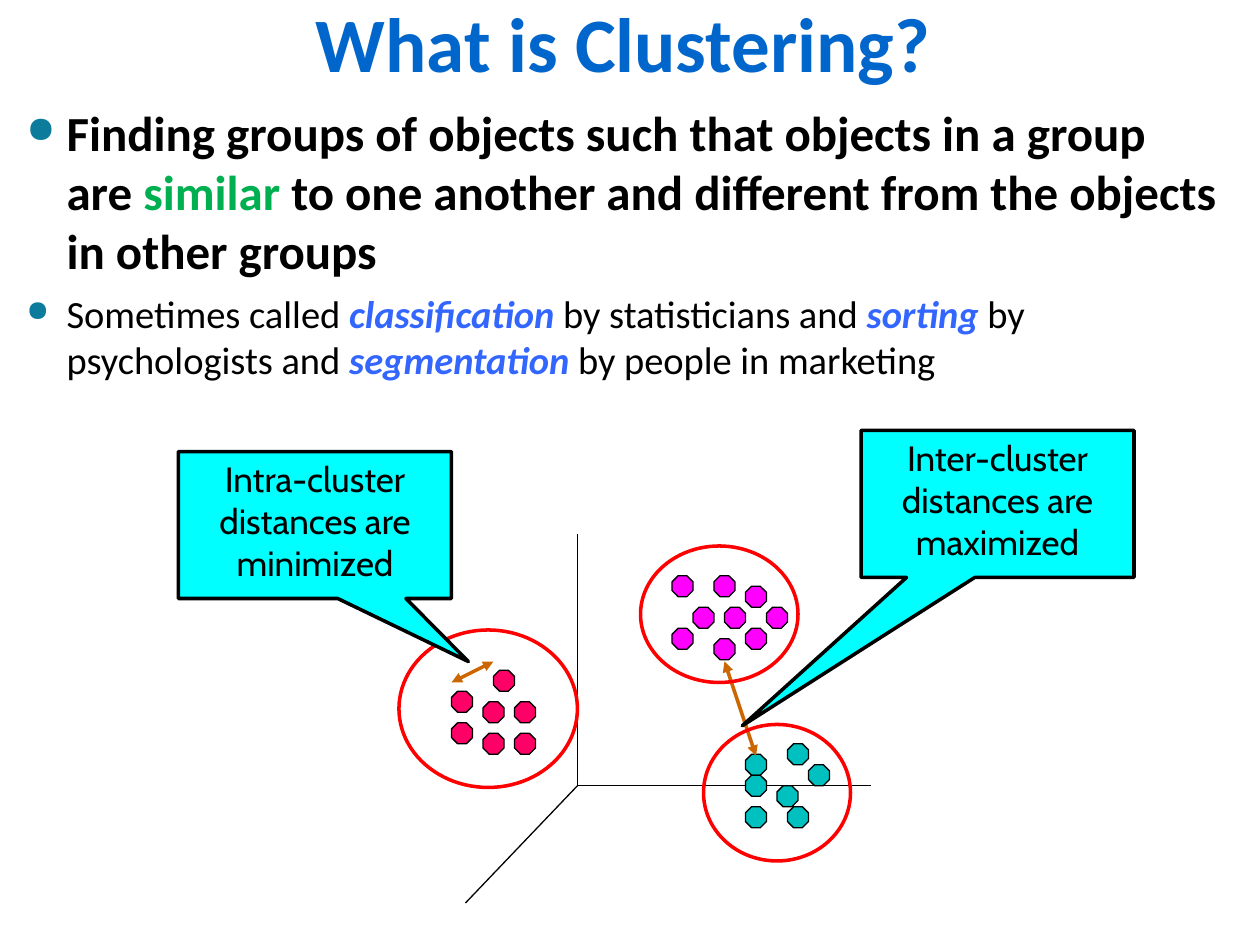
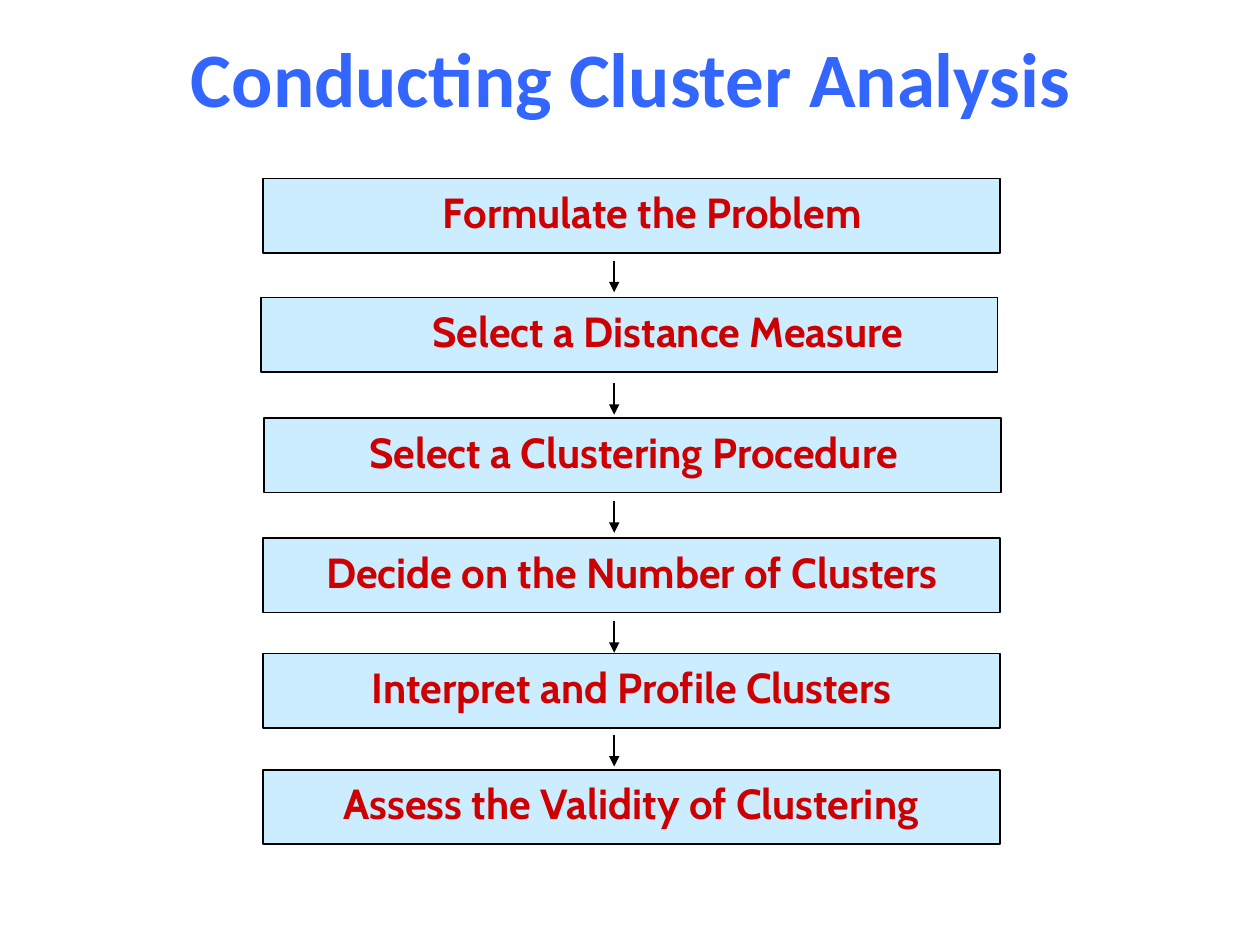
from lxml.etree import SubElement
from pptx import Presentation
from pptx.dml.color import RGBColor
from pptx.enum.shapes import MSO_CONNECTOR, MSO_SHAPE
from pptx.enum.text import MSO_ANCHOR, PP_ALIGN
from pptx.oxml.ns import qn
from pptx.util import Pt

BLACK = RGBColor(0x00, 0x00, 0x00)
TITLE_BLUE = RGBColor(0x00, 0x66, 0xCC)
ACCENT_BLUE = RGBColor(0x33, 0x66, 0xFF)
GREEN = RGBColor(0x00, 0xB0, 0x50)
BULLET_TEAL = RGBColor(0x0C, 0x7B, 0x9C)
MAGENTA = RGBColor(0xFF, 0x00, 0xFF)
PINK = RGBColor(0xFF, 0x00, 0x66)
TEAL = RGBColor(0x00, 0xC0, 0xC0)
CYAN = RGBColor(0x00, 0xFF, 0xFF)
RED = RGBColor(0xFF, 0x00, 0x00)
ORANGE = RGBColor(0xCC, 0x66, 0x00)
STEP_FILL = RGBColor(0xCC, 0xEC, 0xFF)
STEP_TEXT = RGBColor(0xCC, 0x00, 0x00)

HEADING_FONT = "Calibri"
DIAGRAM_FONT = "Cabin"
GRID = 6
POINT_SIZE = 12
STEP_WIDTH, STEP_HEIGHT = 421, 42.5
ARROW_X, ARROW_LENGTH = 351, 18

CLUSTERS = [
    (MAGENTA, 384, 329, [(2, 3), (5, 3), (4, 0), (4, 6), (9, 3),
                         (7, 1), (0, 0), (7, 5), (0, 5)]),
    (PINK, 258, 383, [(0, 2), (3, 3), (3, 6), (6, 3), (4, 0), (6, 6), (0, 5)]),
    (TEAL, 426, 425, [(0, 1), (6, 2), (3, 4), (0, 6), (4, 6), (0, 3), (4, 0)]),
]
CLUSTER_RINGS = [(228, 360, 102, 90), (366, 312, 90, 78), (402, 414, 84, 78)]

STEPS = [
    ("Formulate the Problem", 150.5, 102, 246, 256, PP_ALIGN.LEFT),
    ("Select a Distance Measure", 149, 170, 240, 292, PP_ALIGN.LEFT),
    ("Select a Clustering Procedure", 151, 239, 199.5, 325, PP_ALIGN.CENTER),
    ("Decide on the Number of Clusters", 150.5, 307.5, 175, 372, PP_ALIGN.CENTER),
    ("Interpret and Profile Clusters", 150.5, 373.5, 201, 320, PP_ALIGN.CENTER),
    ("Assess the Validity of Clustering", 150.5, 440, 185, 351, PP_ALIGN.CENTER),
]
ARROW_TOPS = [149, 219, 286.5, 355, 420]


def points(*lengths):
    return [Pt(length) for length in lengths]


def add_run(paragraph, text, font, size, color, bold=False, italic=False):
    run = paragraph.add_run()
    run.text = text
    run.font.name = font
    run.font.size = Pt(size)
    run.font.color.rgb = color
    run.font.bold = bold
    run.font.italic = italic


def add_text_frame(slide, box, wrap=True):
    frame = slide.shapes.add_textbox(*points(*box)).text_frame
    frame.word_wrap = wrap
    return frame


def add_title(slide, text, box, color):
    frame = add_text_frame(slide, box)
    frame.vertical_anchor = MSO_ANCHOR.BOTTOM
    paragraph = frame.paragraphs[0]
    paragraph.alignment = PP_ALIGN.CENTER
    paragraph.line_spacing = Pt(36)
    add_run(paragraph, text, HEADING_FONT, 44, color, bold=True)


def set_bullet(paragraph):
    properties = paragraph._p.get_or_add_pPr()
    properties.set("marL", str(Pt(23)))
    properties.set("indent", str(-Pt(23)))
    color = SubElement(properties, qn("a:buClr"))
    SubElement(color, qn("a:srgbClr"), val=str(BULLET_TEAL))
    SubElement(properties, qn("a:buSzPct"), val="75000")
    SubElement(properties, qn("a:buChar"), char="●")


def add_bullets(slide, box, bullets):
    frame = add_text_frame(slide, box)
    for index, (size, runs) in enumerate(bullets):
        paragraph = frame.add_paragraph() if index else frame.paragraphs[0]
        set_bullet(paragraph)
        paragraph.space_after = Pt(4)
        if index:
            paragraph.space_before = Pt(2.2)
        for text, color, bold, italic in runs:
            add_run(paragraph, text, HEADING_FONT, size, color, bold, italic)


def add_outlined(slide, kind, box, fill, line_color, line_width):
    shape = slide.shapes.add_shape(kind, *points(*box))
    shape.shadow.inherit = False
    if fill is None:
        shape.fill.background()
    else:
        shape.fill.solid()
        shape.fill.fore_color.rgb = fill
    shape.line.color.rgb = line_color
    shape.line.width = Pt(line_width)
    return shape


def add_line(slide, start, end, color, width, arrow_ends=()):
    connector = slide.shapes.add_connector(
        MSO_CONNECTOR.STRAIGHT, *points(*start, *end))
    connector.line.color.rgb = color
    connector.line.width = Pt(width)
    line = connector.line._get_or_add_ln()
    for end_name in arrow_ends:
        SubElement(line, qn(f"a:{end_name}"), type="triangle")
    SubElement(connector._element.spPr, qn("a:effectLst"))


def add_callout(slide, text, left, top, tip):
    callout = add_outlined(slide, MSO_SHAPE.RECTANGULAR_CALLOUT,
                           (left, top, 156, 84), CYAN, BLACK, 2)
    callout.adjustments[0], callout.adjustments[1] = tip
    frame = callout.text_frame
    frame.word_wrap = True
    frame.vertical_anchor = MSO_ANCHOR.TOP
    paragraph = frame.paragraphs[0]
    paragraph.alignment = PP_ALIGN.CENTER
    add_run(paragraph, text, DIAGRAM_FONT, 20, BLACK)


def add_cluster(slide, color, left, top, cells):
    for column, row in cells:
        box = (left + column * GRID, top + row * GRID, POINT_SIZE, POINT_SIZE)
        add_outlined(slide, MSO_SHAPE.OCTAGON, box, color, BLACK, 0.75)


def add_step(slide, text, left, top, text_left, text_width, alignment):
    add_outlined(slide, MSO_SHAPE.RECTANGLE,
                 (left, top, STEP_WIDTH, STEP_HEIGHT), STEP_FILL, BLACK, 1)
    frame = add_text_frame(slide, (text_left, top + 1, text_width, 36), wrap=False)
    paragraph = frame.paragraphs[0]
    paragraph.alignment = alignment
    add_run(paragraph, text, DIAGRAM_FONT, 24, STEP_TEXT, bold=True)


def build_definition(slide):
    add_title(slide, "What is Clustering?", (30, 12, 652.5, 42), TITLE_BLUE)
    add_bullets(slide, (8, 55, 696, 168), [
        (28, [
            ("Finding groups of objects such that objects in a group are ",
             BLACK, True, False),
            ("similar", GREEN, True, False),
            (" to one another and different from the objects in other groups",
             BLACK, True, False),
        ]),
        (22, [
            ("Sometimes called ", BLACK, False, False),
            ("classification", ACCENT_BLUE, True, True),
            (" by statisticians and ", BLACK, False, False),
            ("sorting", ACCENT_BLUE, True, True),
            (" by psychologists and ", BLACK, False, False),
            ("segmentation", ACCENT_BLUE, True, True),
            (" by people in marketing", BLACK, False, False),
        ]),
    ])
    axis_origin = (330, 449)
    for axis_end in [(330, 305), (498, 449), (266, 516)]:
        add_line(slide, axis_origin, axis_end, BLACK, 0.75)
    for cluster in CLUSTERS:
        add_cluster(slide, *cluster)
    both_ends = ("headEnd", "tailEnd")
    add_line(slide, (432, 432), (414, 378), ORANGE, 2, both_ends)
    add_callout(slide, "Inter-cluster distances are maximized",
                492, 246, (-0.935, 1.509))
    for ring in CLUSTER_RINGS:
        add_outlined(slide, MSO_SHAPE.OVAL, ring, None, RED, 2)
    add_line(slide, (258, 390), (282, 378), ORANGE, 2, both_ends)
    add_callout(slide, "Intra-cluster distances are minimized",
                102, 258, (0.562, 0.929))


def build_process(slide):
    add_title(slide, "Conducting Cluster Analysis", (54, 12, 613.5, 62), ACCENT_BLUE)
    for step in STEPS:
        add_step(slide, *step)
    for top in ARROW_TOPS:
        add_line(slide, (ARROW_X, top), (ARROW_X, top + ARROW_LENGTH),
                 BLACK, 1, ("tailEnd",))


def main():
    presentation = Presentation()
    presentation.slide_width, presentation.slide_height = points(720, 540)
    blank_layout = presentation.slide_layouts[6]
    for build in (build_definition, build_process):
        build(presentation.slides.add_slide(blank_layout))
    presentation.save("out.pptx")


if __name__ == "__main__":
    main()
